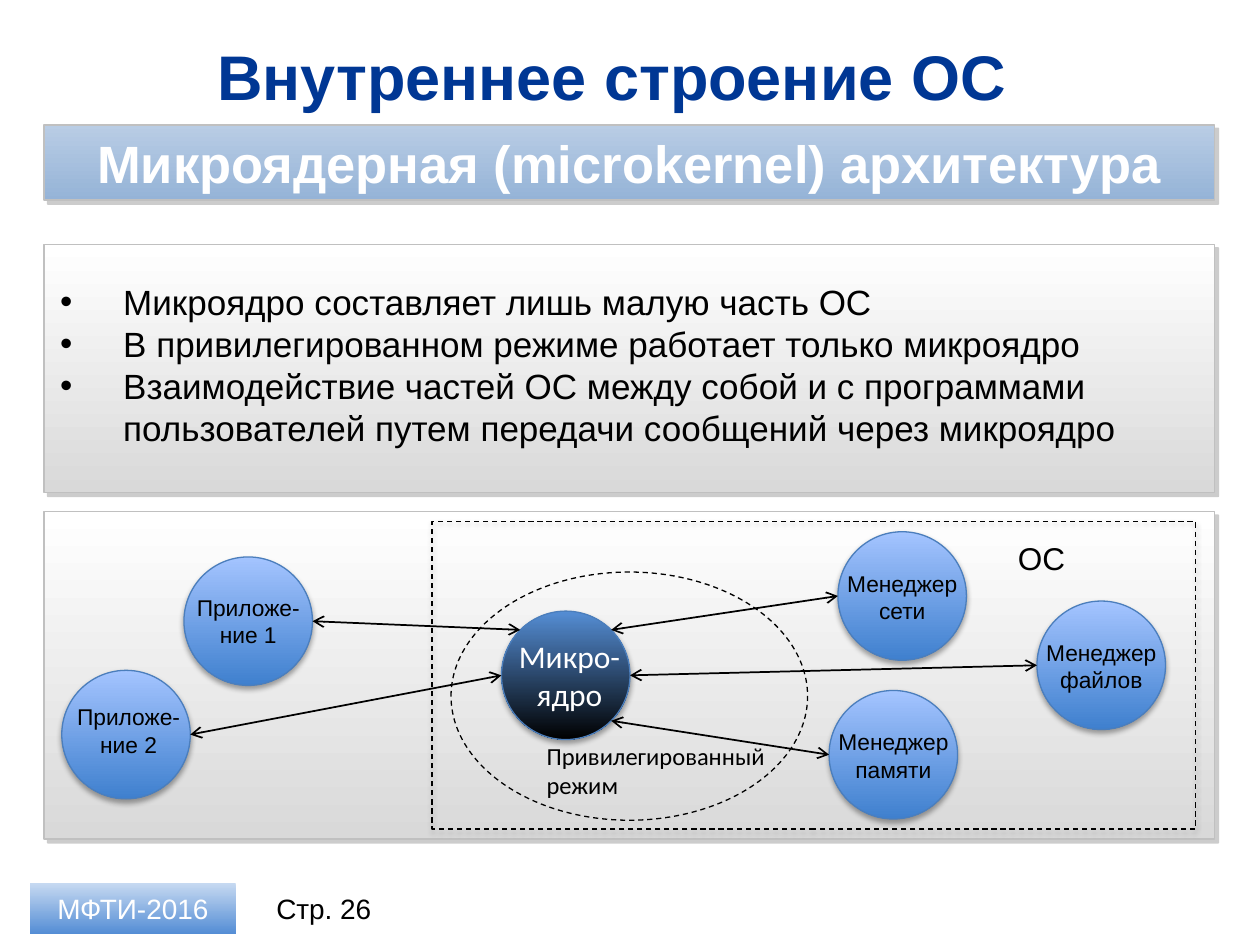
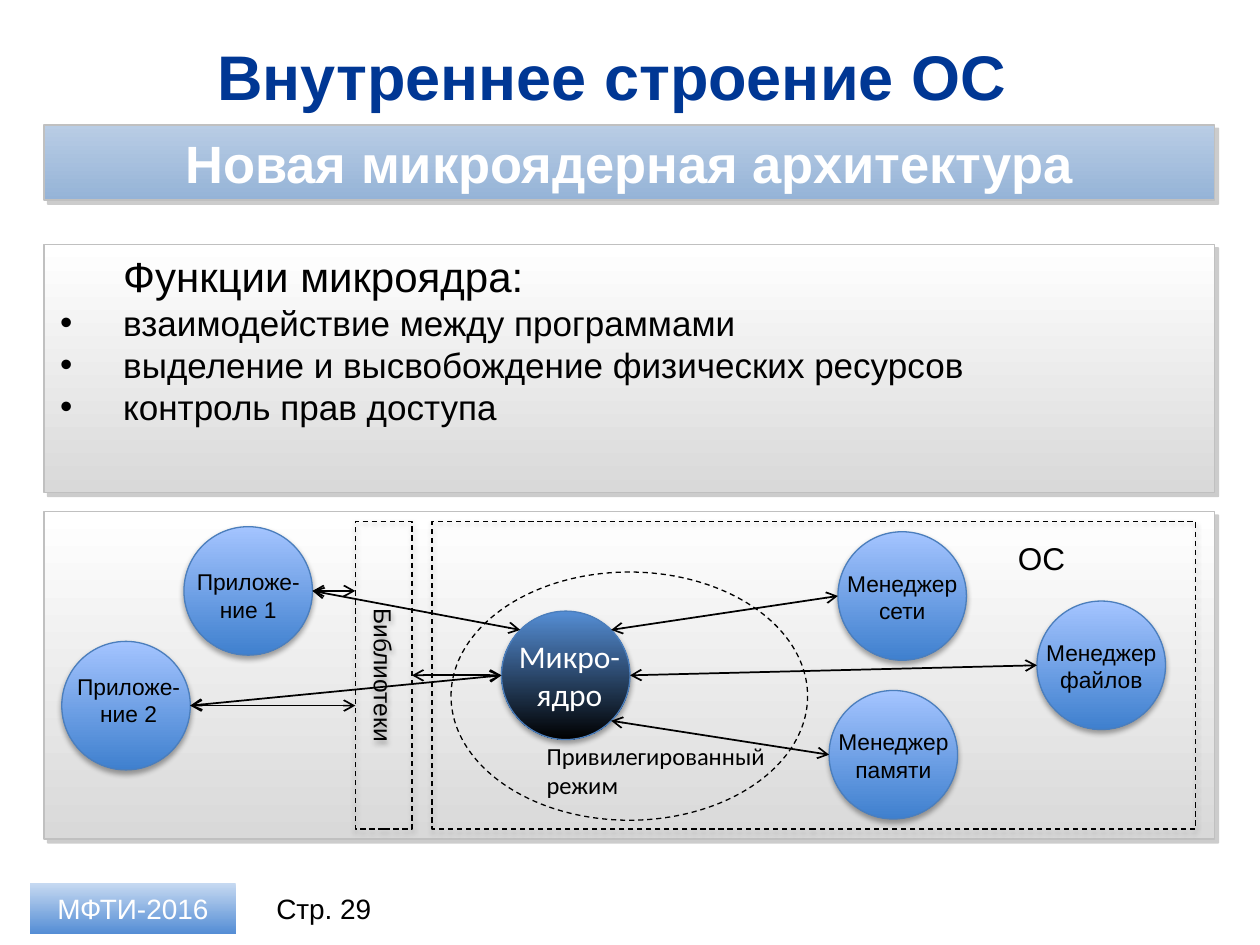
import math
import lxml.etree
import pptx
import pptx.dml.color
import pptx.enum.dml
import pptx.enum.shapes
import pptx.enum.text
import pptx.oxml.ns
import pptx.util

Inches = pptx.util.Inches
Pt = pptx.util.Pt
Kind = pptx.enum.shapes.MSO_SHAPE
Align = pptx.enum.text.PP_ALIGN
Anchor = pptx.enum.text.MSO_ANCHOR
qn = pptx.oxml.ns.qn

COLORS = {
    "title": "003794", "white": "FFFFFF", "black": "000000",
    "gray": "D9D9D9", "edge": "C0C0C0", "shade": "808080",
    "band_top": "B9CDE5", "band_low": "95B3D7",
    "foot_top": "C6D9F1", "blue": "558ED5",
    "node_top": "A4C4FF", "node_low": "3F80CE", "rim": "4B7EBC",
}
PANEL_SHADE = ("shade", 40, 0, 3, 45)
SOFT_SHADE = ("black", 35, 3.1, 1.8, 90)
LEFT, WIDTH = 0.35, 9.29
SIZE = 1.02
CORE = (3.98, 4.85)
NET = (6.65, 4.22)
FILES = (8.23, 4.77)
MEMORY = (6.58, 5.48)


def color(name):
    return pptx.dml.color.RGBColor.from_string(COLORS[name])


def add(parent, tag, **attrs):
    child = lxml.etree.SubElement(parent, qn(tag))
    for key, value in attrs.items():
        child.set(key, str(value))
    return child


def cast(shape, shade):
    name, alpha, blur, dist, angle = shade
    effects = shape.element.spPr.find(qn("a:effectLst"))
    outer = add(effects, "a:outerShdw", blurRad=int(Pt(blur)),
                dist=int(Pt(dist)), dir=angle * 60000, rotWithShape=0)
    tint = add(outer, "a:srgbClr", val=COLORS[name])
    add(tint, "a:alpha", val=alpha * 1000)


def draw(slide, kind, box, fill=None, line=None, shade=None, dash=False):
    shape = slide.shapes.add_shape(kind, *map(Inches, box))
    shape.shadow.inherit = False
    if fill:
        shape.fill.gradient()
        shape.fill.gradient_angle = 270
        for stop, name in zip(shape.fill.gradient_stops, fill):
            stop.color.rgb = color(name)
    else:
        shape.fill.background()
    if line:
        name, width = line
        shape.line.color.rgb = color(name)
        shape.line.width = Pt(width)
    else:
        shape.line.fill.background()
    if dash:
        shape.line.dash_style = pptx.enum.dml.MSO_LINE.DASH
    if shade:
        cast(shape, shade)
    return shape


def write(shape, text, size, tint="black", font="Arial", align=Align.CENTER,
          anchor=Anchor.MIDDLE, bold=False):
    frame = shape.text_frame
    frame.text = text
    frame.word_wrap = True
    frame.vertical_anchor = anchor
    for para in frame.paragraphs:
        para.alignment = align
        for run in para.runs:
            run.font.name = font
            run.font.size = Pt(size)
            run.font.bold = bold
            run.font.color.rgb = color(tint)
    return frame


def label(slide, box, text, size, **style):
    shape = slide.shapes.add_textbox(*map(Inches, box))
    return write(shape, text, size, **style)


def panel(slide, top, height, fill=("white", "gray")):
    return draw(slide, Kind.RECTANGLE, (LEFT, top, WIDTH, height), fill,
                ("edge", 1), PANEL_SHADE)


def frame_box(slide, kind, box, shade=None):
    return draw(slide, kind, box, None, ("black", 0.75), shade, True)


def ball(slide, spot, fill=("node_top", "node_low")):
    draw(slide, Kind.OVAL, (*spot, SIZE, SIZE), fill, ("rim", 0.75),
         SOFT_SHADE)


def node(slide, spot, text, shift=(-0.08, 0.25)):
    ball(slide, spot)
    label(slide, (spot[0] + shift[0], spot[1] + shift[1], 1.18, 0.54),
          text, 13, anchor=Anchor.TOP)


def port(spot, angle):
    turn = math.radians(angle)
    half = SIZE / 2
    return (spot[0] + half + half * math.cos(turn),
            spot[1] + half + half * math.sin(turn))


def wire(slide, start, end):
    kind = pptx.enum.shapes.MSO_CONNECTOR.STRAIGHT
    link = slide.shapes.add_connector(kind, *map(Inches, start + end))
    link.line.color.rgb = color("black")
    link.line.width = Pt(1)
    props = link.element.spPr
    stroke = props.find(qn("a:ln"))
    for tag in ("a:headEnd", "a:tailEnd"):
        add(stroke, tag, type="arrow")
    add(props, "a:effectLst")


def base(prs, head, page):
    slide = prs.slides.add_slide(prs.slide_layouts[6])
    title = label(slide, (LEFT, 0.26, WIDTH, 0.68), "Внутреннее строение ОС",
                  36, tint="title", bold=True)
    title.margin_right = Inches(0.38)
    band = panel(slide, 0.99, 0.6, ("band_top", "band_low"))
    frame = write(band, head, 30, tint="white", bold=True)
    frame.margin_left = frame.margin_right = Inches(0.24)
    frame.margin_top = frame.margin_bottom = Inches(0.04)
    panel(slide, 1.94, 1.97)
    panel(slide, 4.06, 2.6)
    foot = draw(slide, Kind.RECTANGLE, (0.24, 7.01, 1.63, 0.4),
                ("foot_top", "blue"))
    write(foot, "МФТИ-2016", 16, tint="white")
    label(slide, (2.03, 7.01, 1.08, 0.4), f"Стр. {page}", 16)
    return slide


def points(slide, top, items, lead=None):
    rows = [lead] + items if lead else items
    frame = label(slide, (0.38, top, 9.27, 1.5), "\n".join(rows), 20,
                  align=Align.LEFT, anchor=Anchor.TOP)
    for para in frame.paragraphs:
        props = para._p.get_or_add_pPr()
        props.set("marL", str(Inches(0.5)))
        if para.text == lead:
            para.runs[0].font.size = Pt(24)
        else:
            props.set("indent", str(-Inches(0.5)))
            add(props, "a:buFont", typeface="Arial")
            add(props, "a:buChar", char="•")


def scheme(slide, apps):
    ball(slide, CORE, ("blue", "black"))
    node(slide, NET, "Менеджер сети")
    node(slide, FILES, "Менеджер файлов")
    node(slide, MEMORY, "Менеджер памяти")
    for num, (spot, shift) in enumerate(apps, 1):
        node(slide, spot, f"Приложе-ние {num}", shift)
    frame_box(slide, Kind.OVAL, (3.58, 4.54, 2.83, 1.97))
    frame_box(slide, Kind.RECTANGLE, (3.43, 4.14, 6.06, 2.44), SOFT_SHADE)
    label(slide, (4.24, 5.83, 2.2, 0.57), "Привилегированный режим", 14,
          font="Calibri", align=Align.LEFT, anchor=Anchor.TOP)
    label(slide, (7.98, 4.23, 0.79, 0.4), "ОС", 18, align=Align.LEFT,
          anchor=Anchor.TOP)
    for spot, angle in ((NET, -45), (FILES, 0), (MEMORY, 45)):
        wire(slide, port(CORE, angle), port(spot, 180))
    for (spot, shift), angle in zip(apps, (225, 180)):
        wire(slide, port(CORE, angle), port(spot, 0))
    label(slide, (3.98, 5.01, 1.08, 0.71), "Микро-\nядро", 18, tint="white",
          font="Calibri", anchor=Anchor.TOP)


def shelf(slide, apps):
    left, width = 2.82, 0.45
    box = frame_box(slide, Kind.RECTANGLE, (left, 4.14, width, 2.44),
                    SOFT_SHADE)
    frame = write(box, "Библиотеки", 14)
    frame._txBody.bodyPr.set("vert", "vert")
    for spot, shift in apps:
        start = port(spot, 0)
        wire(slide, start, (left, start[1]))
    end = port(CORE, 180)
    wire(slide, (left + width, end[1]), end)


def main():
    prs = pptx.Presentation()
    prs.slide_width, prs.slide_height = Inches(10), Inches(7.5)

    slide = base(prs, "Микроядерная (microkernel) архитектура", 26)
    points(slide, 2.18, [
        "Микроядро составляет лишь малую часть ОС",
        "В привилегированном режиме работает только микроядро",
        "Взаимодействие частей ОС между собой и с программами "
        "пользователей путем передачи сообщений через микроядро",
    ])
    scheme(slide, [((1.46, 4.42), (-0.08, 0.24)),
                   ((0.49, 5.32), (-0.06, 0.21))])

    slide = base(prs, "Новая микроядерная архитектура", 29)
    points(slide, 1.94, [
        "взаимодействие между программами",
        "выделение и высвобождение физических ресурсов",
        "контроль прав доступа",
    ], "Функции микроядра:")
    apps = [((1.46, 4.18), (-0.08, 0.28)), ((0.49, 5.09), (-0.06, 0.2))]
    scheme(slide, apps)
    shelf(slide, apps)

    prs.save("out.pptx")


if __name__ == "__main__":
    main()
